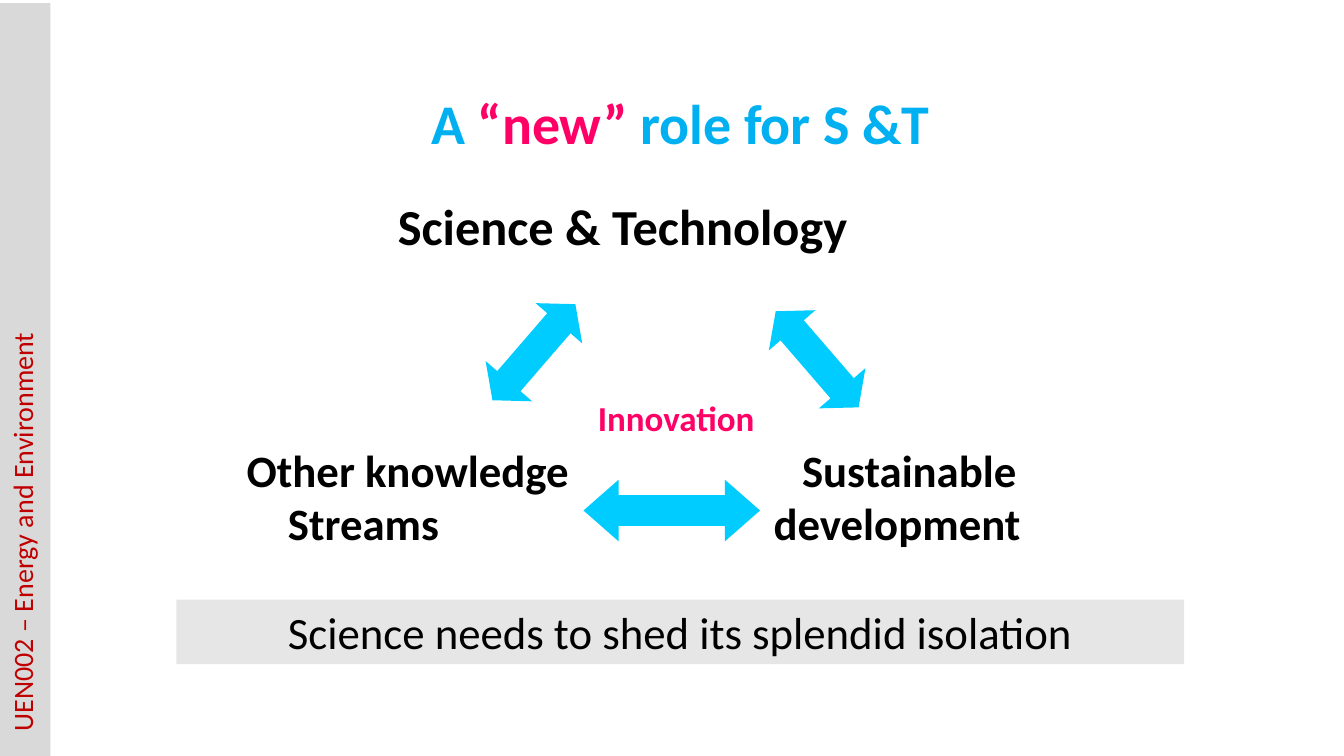
import pptx
import pptx.util
import pptx.dml.color
import pptx.enum.shapes
import pptx.enum.text

Cm = pptx.util.Cm
Align = pptx.enum.text.PP_ALIGN
Anchor = pptx.enum.text.MSO_ANCHOR
Shape = pptx.enum.shapes.MSO_SHAPE

COLOURS = {
    "sidebar": "D9D9D9",
    "banner": "E7E6E6",
    "arrow": "00CCFF",
    "course": "C00000",
    "title": "00B0F0",
    "accent": "FF0066",
    "text": "000000",
}


class SlideBuilder:
    font = "Calibri"

    def __init__(self, slide):
        self.slide = slide

    def colour(self, name):
        return pptx.dml.color.RGBColor.from_string(COLOURS[name])

    def block(self, kind, box, fill, rotation=0):
        shape = self.slide.shapes.add_shape(kind, *map(Cm, box))
        shape.shadow.inherit = False
        shape.fill.solid()
        shape.fill.fore_color.rgb = self.colour(fill)
        shape.line.fill.background()
        shape.rotation = rotation
        return shape

    def arrow(self, box, head, rotation=0):
        shape = self.block(Shape.LEFT_RIGHT_ARROW, box, "arrow", rotation)
        shape.adjustments[0] = 0.5
        shape.adjustments[1] = head

    def fill_text(self, shape, lines, size, bold=True, align=Align.LEFT,
                  anchor=Anchor.TOP, wrap=True):
        """Each line is (indent in cm, [(text, colour), ...])."""
        frame = shape.text_frame
        frame.word_wrap = wrap
        frame.vertical_anchor = anchor
        for number, (indent, runs) in enumerate(lines):
            paragraph = frame.add_paragraph() if number else frame.paragraphs[0]
            paragraph.alignment = align
            if indent:
                paragraph._p.get_or_add_pPr().set("marL", str(Cm(indent)))
            for text, colour in runs:
                run = paragraph.add_run()
                run.text = text
                run.font.name = self.font
                run.font.size = pptx.util.Pt(size)
                run.font.bold = bold
                run.font.color.rgb = self.colour(colour)

    def text(self, box, lines, size, rotation=0, **style):
        shape = self.slide.shapes.add_textbox(*map(Cm, box))
        shape.rotation = rotation
        self.fill_text(shape, lines, size, **style)


def main():
    presentation = pptx.Presentation()
    presentation.slide_width = Cm(33.88)
    presentation.slide_height = Cm(19.05)
    builder = SlideBuilder(
        presentation.slides.add_slide(presentation.slide_layouts[6]))

    # Sidebar with the course name
    builder.block(Shape.RECTANGLE, (0, 0.08, 1.27, 18.97), "sidebar")
    builder.text((-7.21, 10.24, 15.52, 1.35),
                 [(0, [("UEN002 – Energy and Environment", "course")])], 20,
                 rotation=270, bold=False, anchor=Anchor.MIDDLE)

    # Title
    builder.text((5.51, 2.11, 23.29, 1.96),
                 [(0, [("A ", "title"), ("“new” ", "accent"),
                       ("role for S &T", "title")])], 40, align=Align.CENTER)

    # Corners of the triangle
    builder.text((9.78, 4.8, 13, 1.78),
                 [(0, [("Science & Technology", "text")])], 36)
    builder.text((5.97, 11.02, 9, 3),
                 [(0, [("Other knowledge", "text")]),
                  (1.04, [("Streams", "text")])], 32)
    builder.text((19.25, 11.02, 8, 3),
                 [(0.72, [("Sustainable", "text")]),
                  (0, [("development", "text")])], 32)

    # Arrows between the corners
    builder.arrow((11.86, 8.1, 3.2, 1.55), 0.41, rotation=310.8)
    builder.arrow((19, 8.28, 3.2, 1.55), 0.41, rotation=49.2)
    builder.arrow((14.71, 12.09, 4.45, 1.55), 0.57)

    # Closing message and centre label
    banner = builder.block(Shape.RECTANGLE, (4.45, 15.11, 25.4, 1.63), "banner")
    builder.fill_text(
        banner, [(0, [("Science needs to shed its splendid isolation", "text")])],
        32, bold=False, align=Align.CENTER)
    builder.text((14.81, 9.86, 4.47, 1.32), [(0, [("Innovation", "accent")])], 25,
                 align=Align.CENTER, wrap=False)

    presentation.save("out.pptx")


if __name__ == "__main__":
    main()
